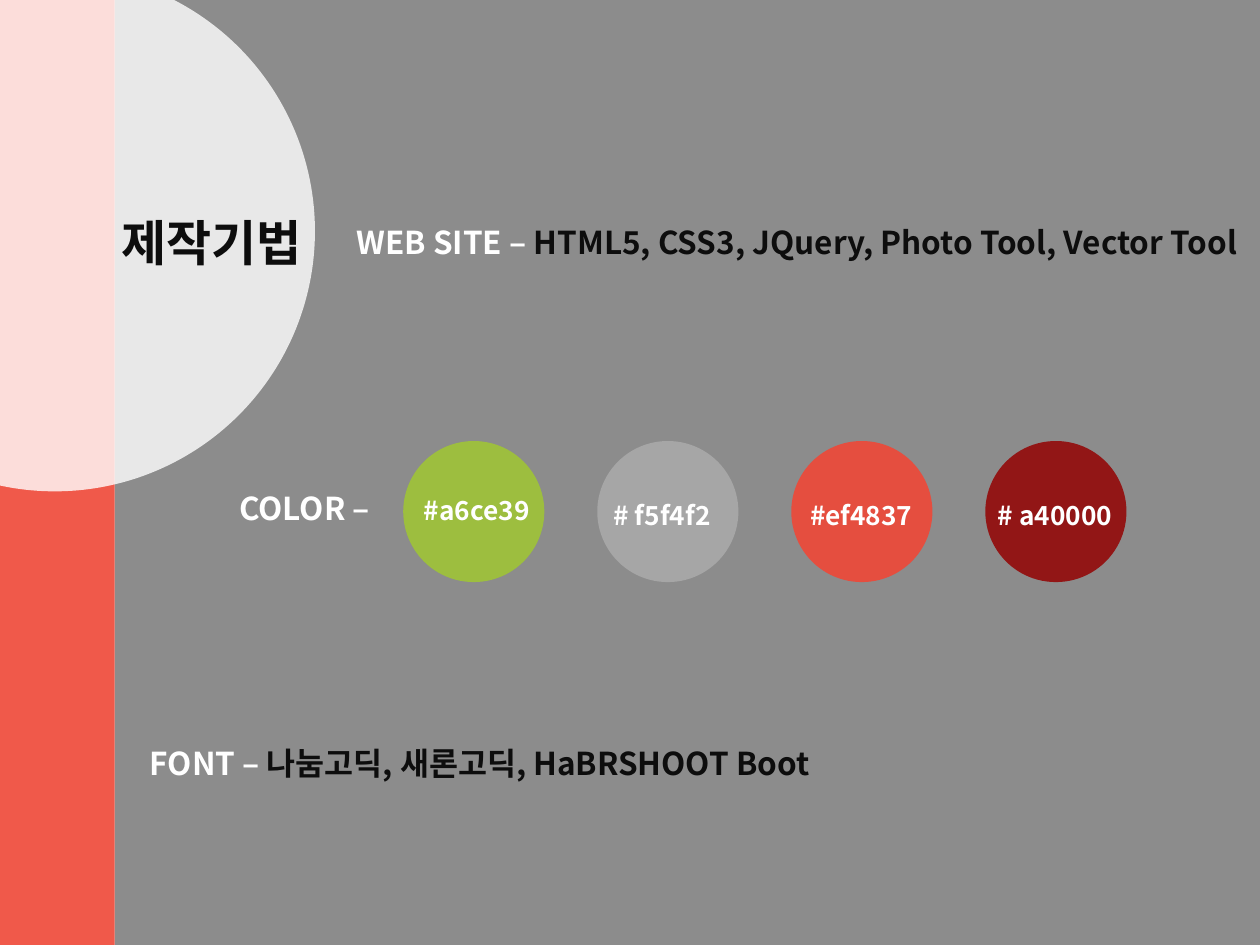
from lxml import etree
from pptx import Presentation
from pptx.dml.color import RGBColor
from pptx.enum.shapes import MSO_SHAPE
from pptx.enum.text import MSO_ANCHOR, MSO_AUTO_SIZE, PP_ALIGN
from pptx.oxml.ns import qn
from pptx.util import Inches, Pt

RECTANGLE, OVAL = MSO_SHAPE.RECTANGLE, MSO_SHAPE.OVAL
LEFT, CENTER = PP_ALIGN.LEFT, PP_ALIGN.CENTER
TOP = MSO_ANCHOR.TOP
FIT_SHAPE = MSO_AUTO_SIZE.SHAPE_TO_FIT_TEXT

WIDTH, HEIGHT = 10, 7.5
BAND = 0.91
TITLE_DISC = 4.13
SWATCH = 1.12
SWATCH_LEFT, SWATCH_TOP, SWATCH_STEP = 3.2, 3.5, 1.54

FONT = "Noto Sans CJK KR"
WHITE = RGBColor(0xFF, 0xFF, 0xFF)
INK = RGBColor(0x0D, 0x0D, 0x0D)
GRAY = RGBColor(0x80, 0x80, 0x80)
LIGHT_GRAY = RGBColor(0xA6, 0xA6, 0xA6)
CORAL = RGBColor(0xEF, 0x48, 0x37)
GREEN = RGBColor(0x9F, 0xC4, 0x37)
DARK_RED = RGBColor(0x92, 0x16, 0x16)

# fill, opacity in percent, label, label offset from the column, label top, alignment
SWATCHES = [
    (GREEN, 90, "#a6ce39", 0, 3.87, CENTER),
    (LIGHT_GRAY, 100, "# f5f4f2", 0.03, 3.91, LEFT),
    (CORAL, 90, "#ef4837", -0.03, 3.91, CENTER),
    (DARK_RED, 100, "# a40000", 0, 3.91, LEFT),
]


def place(shape, left, top, width, height):
    shape.left, shape.top = Inches(left), Inches(top)
    shape.width, shape.height = Inches(width), Inches(height)


def add_filled(page, kind, left, top, width, height, color, opacity=100):
    shape = page.shapes.add_shape(
        kind, Inches(left), Inches(top), Inches(width), Inches(height))
    shape.shadow.inherit = False
    shape.line.fill.background()
    shape.fill.solid()
    shape.fill.fore_color.rgb = color
    if opacity < 100:
        tint = shape.fill._xPr.find(".//" + qn("a:srgbClr"))
        etree.SubElement(tint, qn("a:alpha"), val=str(opacity * 1000))


def write(box, spans, size, align=LEFT):
    """Fill a box with one bold paragraph made of (text, color) spans."""
    frame = box.text_frame
    frame.word_wrap = True
    frame.auto_size = FIT_SHAPE
    frame.vertical_anchor = TOP
    para = frame.paragraphs[0]
    para.alignment = align
    para.font.size = Pt(size)
    para.font.bold = True
    para.font.name = FONT
    for text, color in spans:
        span = para.add_run()
        span.text = text
        span.font.color.rgb = color
        # Hangul takes its typeface from the East Asian slot.
        etree.SubElement(span.font._element, qn("a:ea"), typeface=FONT)


def add_text(page, left, top, width, height, spans, size, align=LEFT):
    box = page.shapes.add_textbox(
        Inches(left), Inches(top), Inches(width), Inches(height))
    write(box, spans, size, align)


def add_title(page, text):
    title = page.shapes.title
    place(title, 0.78, 1.64, 1.8, 0.57)
    write(title, [(text, INK)], 28, CENTER)
    page.shapes._spTree.append(title._element)  # in front of the disc


def add_swatches(page):
    lefts = [SWATCH_LEFT + SWATCH_STEP * column for column in range(len(SWATCHES))]
    for left, (color, opacity, *_) in zip(lefts, SWATCHES):
        add_filled(page, OVAL, left, SWATCH_TOP, SWATCH, SWATCH, color, opacity)
    for left, (_, _, label, offset, top, align) in zip(lefts, SWATCHES):
        add_text(page, left + offset, top, 1.17, 0.35, [(label, WHITE)], 15, align)


def main():
    deck = Presentation()
    deck.slide_width, deck.slide_height = Inches(WIDTH), Inches(HEIGHT)
    page = deck.slides.add_slide(deck.slide_layouts.get_by_name("Title Only"))

    add_filled(page, RECTANGLE, BAND, 0, WIDTH - BAND, HEIGHT, GRAY, 90)
    add_filled(page, RECTANGLE, 0, 0, BAND, HEIGHT, CORAL, 90)
    add_filled(page, OVAL, -1.63, -0.23, TITLE_DISC, TITLE_DISC, WHITE, 80)
    add_title(page, "제작기법")

    add_text(page, 2.73, 1.72, 7.27, 0.4, [
        ("WEB SITE – ", WHITE),
        ("HTML5, CSS3, JQuery, Photo Tool, Vector Tool", INK)], 18)
    add_text(page, 1.8, 3.83, 1.33, 0.4, [("COLOR –", WHITE)], 18)
    add_swatches(page)
    add_text(page, 1.09, 5.86, 8.75, 0.4, [
        ("FONT – ", WHITE),
        ("나눔고딕, 새론고딕, HaBRSHOOT Boot", INK)], 18)

    deck.save("out.pptx")


if __name__ == "__main__":
    main()
